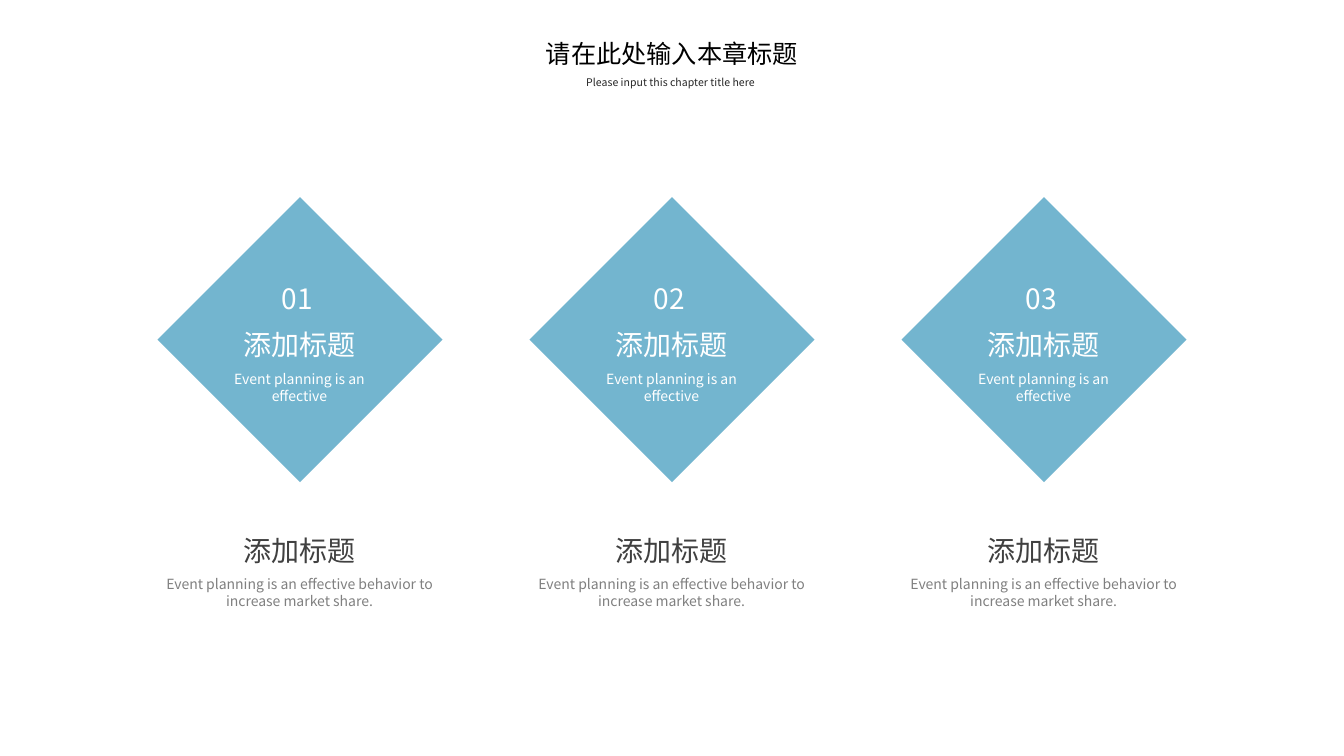
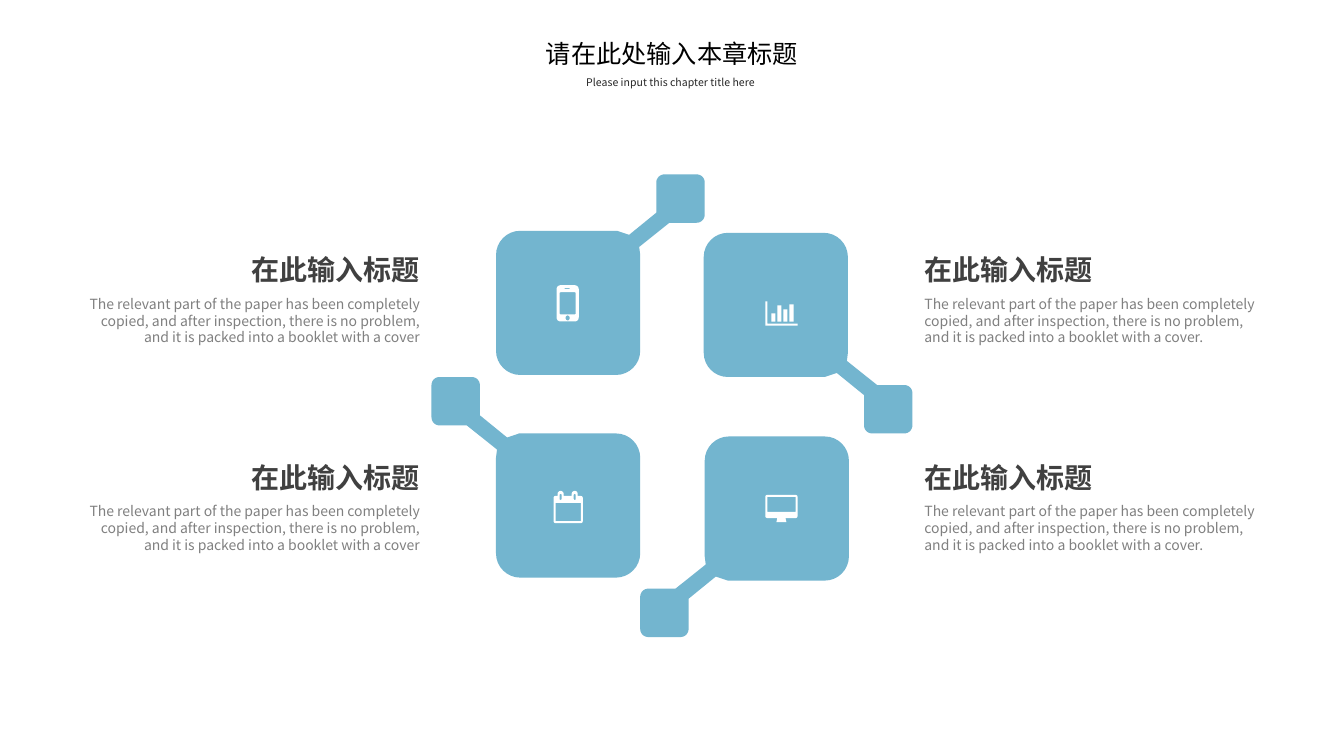
"""Build two chapter slides: three numbered diamonds and four linked icon tiles."""
from dataclasses import dataclass

from lxml import etree
from pptx import Presentation
from pptx.dml.color import RGBColor
from pptx.enum.shapes import MSO_SHAPE
from pptx.enum.text import MSO_ANCHOR, MSO_AUTO_SIZE, PP_ALIGN
from pptx.oxml.ns import qn
from pptx.util import Inches, Pt

RECTANGLE = MSO_SHAPE.RECTANGLE
TOP = MSO_ANCHOR.TOP
NO_AUTOFIT = MSO_AUTO_SIZE.NONE
LEFT, CENTER, RIGHT = PP_ALIGN.LEFT, PP_ALIGN.CENTER, PP_ALIGN.RIGHT


@dataclass(frozen=True)
class Theme:
    accent: str = "73B5CF"
    white: str = "FFFFFF"
    title: str = "000000"
    subtitle: str = "262626"
    heading: str = "404040"
    body: str = "808080"
    font: str = "Noto Sans CJK SC"
    tile_font: str = "Noto Sans CJK JP"
    title_size: float = 18
    subtitle_size: float = 7.5
    heading_size: float = 20
    body_size: float = 10
    line_height: float = 1.2


THEME = Theme()
SLIDE_WIDTH, SLIDE_HEIGHT = 13.33, 7.5
MIDDLE = SLIDE_WIDTH / 2


def write_text(slide, text, box, *, size, color, align=CENTER, font=THEME.font,
               bold=False, wrap=True, shape=None):
    """Write one formatted paragraph into a new text box or the given placeholder."""
    left, top, width, height = (Inches(value) for value in box)
    if shape is None:
        shape = slide.shapes.add_textbox(left, top, width, height)
    else:
        shape.left, shape.top, shape.width, shape.height = left, top, width, height
    frame = shape.text_frame
    frame.auto_size = NO_AUTOFIT
    frame.word_wrap = wrap
    frame.vertical_anchor = TOP
    paragraph = frame.paragraphs[0]
    paragraph.alignment = align
    paragraph.space_before = Pt(0)
    paragraph.line_spacing = Pt(size * THEME.line_height)
    run = paragraph.add_run()
    run.text = text
    run.font.size = Pt(size)
    run.font.bold = bold
    run.font.color.rgb = RGBColor.from_string(color)
    run.font.name = font
    etree.SubElement(run.font._element, qn("a:ea"), typeface=font)


def draw_outline(slide, contours, left, top, *, color, mirror_x=None, mirror_y=None):
    """Draw contours given as (x, y, radius) corners or (left, top, right, bottom, radius) boxes."""
    builder = None
    for contour in contours:
        if isinstance(contour, tuple):
            x1, y1, x2, y2, radius = contour
            contour = [(x1, y1, radius), (x2, y1, radius), (x2, y2, radius), (x1, y2, radius)]
        points = []
        for index, (x, y, radius) in enumerate(contour):
            if not radius:
                points.append((x, y))
                continue
            ends = []
            for near_x, near_y, _ in (contour[index - 1], contour[(index + 1) % len(contour)]):
                distance = ((near_x - x) ** 2 + (near_y - y) ** 2) ** 0.5
                ends.append(((near_x - x) * radius / distance, (near_y - y) * radius / distance))
            for step in range(9):
                t = step / 8
                start = (1 - t) ** 3 + 1.35 * t * (1 - t) ** 2
                end = t ** 3 + 1.35 * (1 - t) * t ** 2
                points.append((x + start * ends[0][0] + end * ends[1][0],
                               y + start * ends[0][1] + end * ends[1][1]))
        points = [(Inches(left + (mirror_x - x if mirror_x else x)),
                   Inches(top + (mirror_y - y if mirror_y else y))) for x, y in points]
        if builder is None:
            builder = slide.shapes.build_freeform(*points[0], scale=1.0)
        else:
            builder.move_to(*points[0])
        builder.add_line_segments(points[1:], close=True)
    shape = builder.convert_to_shape()
    shape.shadow.inherit = False
    shape.fill.solid()
    shape.fill.fore_color.rgb = RGBColor.from_string(color)
    shape.line.fill.background()


presentation = Presentation()
presentation.slide_width = Inches(SLIDE_WIDTH)
presentation.slide_height = Inches(SLIDE_HEIGHT)
title_layout = presentation.slide_layouts[0]

slides = []
for _ in range(2):
    slide = presentation.slides.add_slide(title_layout)
    write_text(slide, "请在此处输入本章标题", (MIDDLE - 1.5, 0.33, 3, 0.4),
               size=THEME.title_size, color=THEME.title, shape=slide.shapes.title)
    write_text(slide, "Please input this chapter title here", (MIDDLE - 1.68, 0.7, 3.33, 0.25),
               size=THEME.subtitle_size, color=THEME.subtitle, shape=slide.placeholders[1])
    slides.append(slide)
diamond_slide, tile_slide = slides

COLUMN_PITCH = 3.69
DIAMOND_SIDE, DIAMOND_TOP = 2, 2.37
heading_style = {"size": THEME.heading_size, "color": THEME.heading}
body_style = {"size": THEME.body_size, "color": THEME.body}

for column in range(3):
    center = MIDDLE + (column - 1) * COLUMN_PITCH
    diamond = diamond_slide.shapes.add_shape(
        RECTANGLE, Inches(center - DIAMOND_SIDE / 2), Inches(DIAMOND_TOP),
        Inches(DIAMOND_SIDE), Inches(DIAMOND_SIDE))
    diamond.rotation = 45
    diamond.shadow.inherit = False
    diamond.fill.solid()
    diamond.fill.fore_color.rgb = RGBColor.from_string(THEME.accent)
    diamond.line.fill.background()
    write_text(diamond_slide, f"{column + 1:02}", (center - 0.28, 2.74, 0.55, 0.44),
               size=THEME.heading_size, color=THEME.white, align=LEFT, wrap=False)
    write_text(diamond_slide, "添加标题", (center - 1.38, 3.2, 2.75, 0.44),
               size=THEME.heading_size, color=THEME.white)
    write_text(diamond_slide, "Event planning is an effective", (center - 1.04, 3.63, 2.07, 0.44),
               size=THEME.body_size, color=THEME.white)
    write_text(diamond_slide, "添加标题", (center - 1.38, 5.24, 2.75, 0.44), **heading_style)
    write_text(diamond_slide, "Event planning is an effective behavior to increase market share.",
               (center - 1.58, 5.66, 3.15, 0.61), **body_style)

TILE_WIDTH, TILE_HEIGHT = 2.07, 1.99
tile = [(1.59, 0, 0.08), (2.07, 0, 0.08), (2.07, 0.48, 0.08), (1.72, 0.48, 0),
        (1.42, 0.72, 0), (1.43, 0.8, 0), (1.43, 1.99, 0.24), (0, 1.99, 0.24),
        (0, 0.56, 0.24), (1.2, 0.56, 0), (1.32, 0.6, 0), (1.59, 0.38, 0)]
for left, top, mirror_x, mirror_y in [(4.92, 1.73, None, None),
                                      (6.98, 2.31, None, TILE_HEIGHT),
                                      (6.35, 4.33, TILE_WIDTH, TILE_HEIGHT),
                                      (4.28, 3.74, TILE_WIDTH, None)]:
    draw_outline(tile_slide, [tile], left, top, color=THEME.accent,
                 mirror_x=mirror_x, mirror_y=mirror_y)

phone = [(0, 0, 0.22, 0.36, 0.04), (0.03, 0.07, 0.19, 0.29, 0.01),
         (0.08, 0.03, 0.13, 0.04, 0), (0.09, 0.3, 0.13, 0.35, 0.02)]
bars = [(0.06 + 0.06 * index, bar_top, 0.1 + 0.06 * index, 0.2, 0)
        for index, bar_top in enumerate((0.12, 0.04, 0.08, 0.03))]
axes = [(0, 0, 0), (0.02, 0, 0), (0.02, 0.22, 0), (0.32, 0.22, 0), (0.32, 0.24, 0), (0, 0.24, 0)]
calendar_body = [(0, 0.05, 0.02), (0.04, 0.05, 0), (0.04, 0, 0.03), (0.1, 0, 0.03), (0.1, 0.05, 0),
                 (0.18, 0.05, 0), (0.18, 0, 0.03), (0.24, 0, 0.03), (0.24, 0.05, 0),
                 (0.29, 0.05, 0.02), (0.29, 0.32, 0.02), (0, 0.32, 0.02)]
calendar = [calendar_body, (0.02, 0.12, 0.27, 0.3, 0),
            (0.06, 0.03, 0.08, 0.09, 0.01), (0.2, 0.03, 0.22, 0.09, 0.01)]
monitor_body = [(0, 0, 0.02), (0.32, 0, 0.02), (0.32, 0.23, 0.02), (0.2, 0.23, 0),
                (0.21, 0.27, 0), (0.11, 0.27, 0), (0.12, 0.23, 0), (0, 0.23, 0.02)]
monitor = [monitor_body, (0.02, 0.02, 0.3, 0.17, 0)]
for icon, left, top in [(phone, 5.52, 2.83), ([axes, *bars], 7.59, 2.99),
                        (calendar, 5.49, 4.87), (monitor, 7.59, 4.91)]:
    draw_outline(tile_slide, icon, left, top, color=THEME.white)

HEADING_WIDTH, BODY_WIDTH = 2.93, 3.62
LEFT_EDGE, RIGHT_EDGE = 4.26, 9.07
sentence = ("The relevant part of the paper has been completely copied, and after inspection, "
            "there is no problem, and it is packed into a booklet with a cover")
for row in range(2):
    top = 2.46 + row * 2.06
    for heading_left, body_left, align, ending in [
            (LEFT_EDGE - HEADING_WIDTH, LEFT_EDGE - BODY_WIDTH, RIGHT, ""),
            (RIGHT_EDGE, RIGHT_EDGE, LEFT, ".")]:
        write_text(tile_slide, "在此输入标题", (heading_left, top, HEADING_WIDTH, 0.44),
                   align=align, font=THEME.tile_font, bold=True, **heading_style)
        write_text(tile_slide, sentence + ending, (body_left, top + 0.42, BODY_WIDTH, 0.61),
                   align=align, font=THEME.tile_font, **body_style)

presentation.save("out.pptx")
